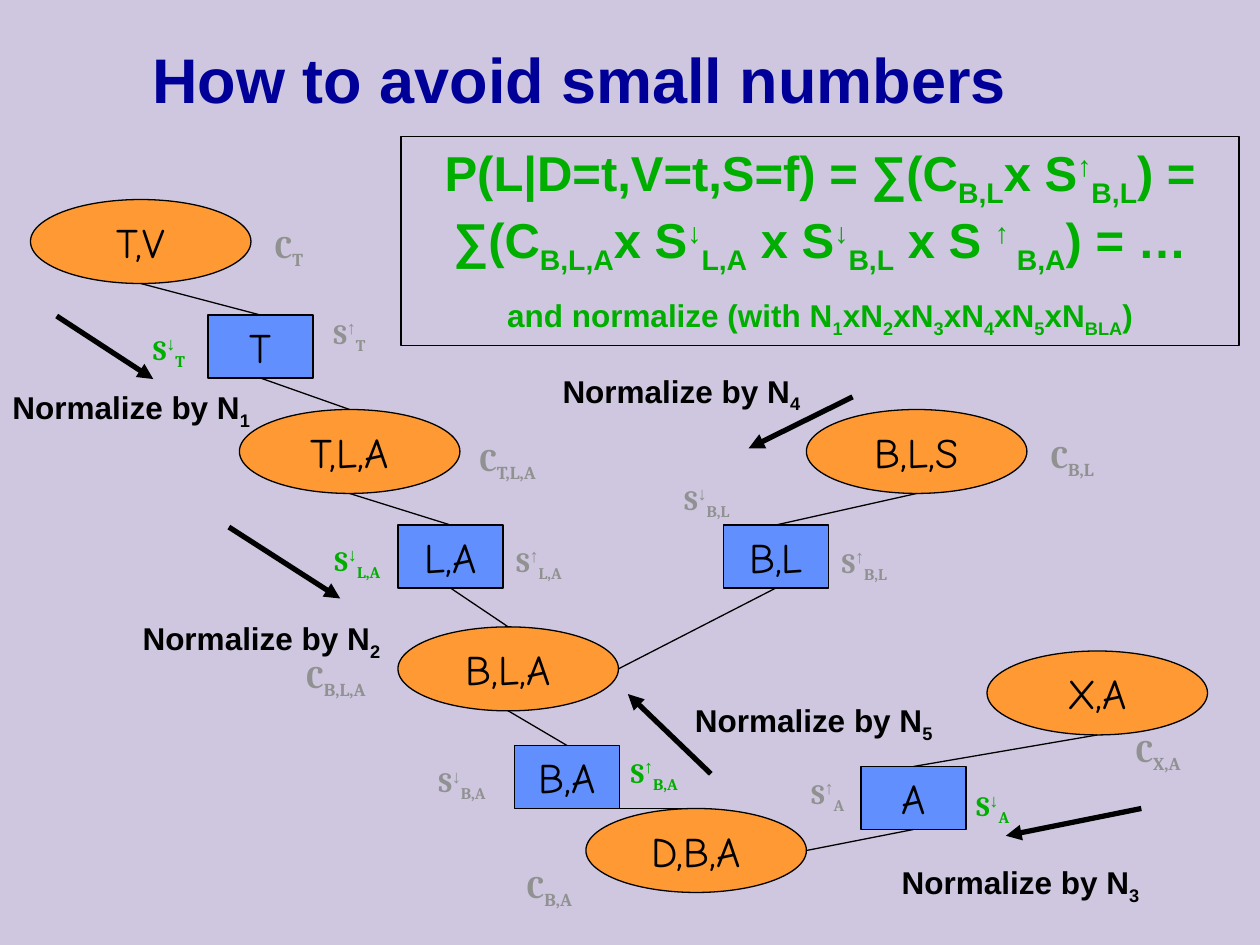
from lxml.etree import SubElement
from pptx import Presentation
from pptx.dml.color import RGBColor
from pptx.enum.shapes import MSO_CONNECTOR, MSO_SHAPE
from pptx.enum.text import MSO_ANCHOR, MSO_AUTO_SIZE, PP_ALIGN
from pptx.oxml.ns import qn
from pptx.util import Inches, Pt

COLUMNS, ROWS = 120, 90
SLIDE_WIDTH, SLIDE_HEIGHT = Inches(10), Inches(7.5)
BLACK, GREY, GREEN, NAVY = "000000", "919191", "00AE00", "000099"
ORANGE, BLUE, LAVENDER = "FF9933", "618FFD", "CEC7DF"
BASELINES = {"_": "-25000", "^": "30000", "~": None}
SIDES = {"top": (0.5, 0), "bottom": (0.5, 1), "right": (1, 0.5)}
LABEL_HEIGHT = 5.2

CLIQUES = {
    "D,B,A": (55.8, 77), "B,L,S": (76.8, 39), "X,A": (94, 62),
    "T,V": (2.9, 19), "B,L,A": (37.9, 59.7), "T,L,A": (22.8, 39),
}
SEPARATORS = {
    "B,A": (49, 71), "B,L": (68.9, 50), "L,A": (37.9, 50),
    "A": (82, 73), "T": (19.8, 30),
}
EDGES = [
    ("D,B,A", "top", "B,A", "bottom"), ("B,A", "top", "B,L,A", "bottom"),
    ("B,L,S", "bottom", "B,L", "top"), ("B,L", "bottom", "B,L,A", "right"),
    ("B,L,A", "top", "L,A", "bottom"), ("L,A", "top", "T,L,A", "bottom"),
    ("X,A", "bottom", "A", "top"), ("A", "bottom", "D,B,A", "right"),
    ("T,L,A", "top", "T", "bottom"), ("T,V", "bottom", "T", "top"),
]
MESSAGES = [
    ("↓", "B,L", GREY, 64, 45, 12), ("↓", "T", GREEN, 13.4, 30.7, 7.3),
    ("↑", "B,A", GREEN, 58.9, 71, 10), ("↓", "L,A", GREEN, 30.7, 50.8, 10),
    ("↓", "A", GREEN, 91.8, 74.2, 8), ("↓", "B,A", GREY, 40.6, 71.9, 10.1),
    ("↑", "L,A", GREY, 48, 50.9, 9.4), ("↑", "B,L", GREY, 79, 51, 41),
    ("↑", "A", GREY, 76.1, 73, 7.9), ("↑", "T", GREY, 30.6, 29.2, 30.5),
]
POTENTIALS = [
    ("T", 25, 21, 32), ("T,L,A", 44.5, 41.3, 17), ("B,L,A", 28, 62, 16),
    ("B,L", 98.9, 41, 12), ("B,A", 49, 82, 10), ("X,A", 107, 69, 9),
]
NORMALIZERS = [
    ("1", 0, 36.4), ("3", 84.7, 81.6), ("2", 12.4, 58.4),
    ("4", 52.4, 34.8), ("5", 65, 66.2),
]
ARROWS = [
    ((5.4, 30.1), (14.6, 36.1)), ((21.8, 50.2), (32.4, 57)),
    ((81.2, 37.8), (71.3, 42.7)), ((108.7, 77), (95.8, 79.6)),
    ((67.7, 73.7), (59.8, 66.1)),
]
FORMULA = ("P(L|D=t,V=t,S=f) = ∑(C_B,L~x S^↑_B,L~) = ∑(C_B,L,A~x S^↓_L,A~ x S"
           "^↓_B,L~ x S ^↑ _B,A~) = …")
NORMALIZING = "and normalize (with N_1~xN_2~xN_3~xN_4~xN_5~xN_BLA~)"


def color(value):
    """Turn a hex string into a colour."""
    return RGBColor.from_string(value)


def emu(*cells):
    """Convert alternating columns and rows into slide lengths."""
    units = (SLIDE_WIDTH / COLUMNS, SLIDE_HEIGHT / ROWS)
    return [round(cell * units[index % 2]) for index, cell in enumerate(cells)]


def within(box, left, top, *size):
    """Shift a place by the corner of its region."""
    return (box[0] + left, box[1] + top, *size)


def style(font, name, size, fill, bold=True):
    """Set the look of a font."""
    font.name, font.size, font.bold = name, Pt(size), bold
    font.color.rgb = color(fill)


def write(paragraph, markup, name, size, fill, raised_size=None):
    """Write text where _ starts a subscript, ^ a superscript and ~ plain text."""
    pieces = [["~", ""]]
    for character in markup:
        if character in BASELINES:
            pieces.append([character, ""])
        else:
            pieces[-1][1] += character
    for level, text in pieces:
        run = paragraph.add_run()
        run.text = text
        raised = level == "^"
        style(run.font, "Arial" if raised else name,
              raised_size or size if raised else size, fill)
        if BASELINES[level]:
            run._r.get_or_add_rPr().set("baseline", BASELINES[level])


def add_label(slide, box, markup, name, size, fill, raised_size=None):
    """Add a text box that holds one marked-up line."""
    frame = slide.shapes.add_textbox(*emu(*box)).text_frame
    frame.word_wrap = True
    frame.auto_size = MSO_AUTO_SIZE.SHAPE_TO_FIT_TEXT
    write(frame.paragraphs[0], markup, name, size, fill, raised_size)


def add_line(slide, start, end, width=0.75, arrow=False):
    """Draw a black line, with an arrowhead if wanted."""
    line = slide.shapes.add_connector(MSO_CONNECTOR.STRAIGHT, *emu(*start, *end))
    line.line.color.rgb = color(BLACK)
    line.line.width = Pt(width)
    if arrow:
        SubElement(line.line._get_or_add_ln(), qn("a:tailEnd"), type="triangle")
    SubElement(line._element.spPr, qn("a:effectLst"))


def add_shape(slide, kind, box, fill=None):
    """Add a thinly outlined preset shape without shadow."""
    shape = slide.shapes.add_shape(kind, *emu(*box))
    shape.shadow.inherit = False
    if fill:
        shape.fill.solid()
        shape.fill.fore_color.rgb = color(fill)
    else:
        shape.fill.background()
    shape.line.color.rgb = color(BLACK)
    shape.line.width = Pt(0.75)
    return shape


def add_node(slide, kind, box, fill, text):
    """Add a named node of the junction tree."""
    frame = add_shape(slide, kind, box, fill).text_frame
    frame.text = text
    frame.word_wrap = False
    frame.vertical_anchor = MSO_ANCHOR.MIDDLE
    paragraph = frame.paragraphs[0]
    paragraph.alignment = PP_ALIGN.CENTER
    style(paragraph.runs[0].font, "Comic Neue", 24, BLACK, False)


def add_title(slide, box):
    """Place the slide title."""
    title = slide.shapes.title
    title.left, title.top, title.width, title.height = emu(*box)
    frame = title.text_frame
    frame.text = "How to avoid small numbers"
    frame.auto_size = MSO_AUTO_SIZE.NONE
    frame.vertical_anchor = MSO_ANCHOR.MIDDLE
    paragraph = frame.paragraphs[0]
    paragraph.alignment = PP_ALIGN.CENTER
    style(paragraph.runs[0].font, "Arial", 36, NAVY)


def add_tree(slide, box):
    """Draw the cliques, the separators and the edges between them."""
    places = {}
    for kind, nodes, size, fill in (
        (MSO_SHAPE.OVAL, CLIQUES, (21, 8), ORANGE),
        (MSO_SHAPE.RECTANGLE, SEPARATORS, (10, 6), BLUE),
    ):
        for name, corner in nodes.items():
            places[name] = within(box, *corner, *size)
            add_node(slide, kind, places[name], fill, name)

    def anchor(name, side):
        """Find the middle of one side of a node."""
        left, top, width, height = places[name]
        across, down = SIDES[side]
        return left + across * width, top + down * height

    for first, first_side, second, second_side in EDGES:
        add_line(slide, anchor(first, first_side), anchor(second, second_side))


def add_annotations(slide, box):
    """Label messages, potentials and normalizing steps around the tree."""
    for direction, scope, fill, left, top, width in MESSAGES:
        add_label(slide, within(box, left, top, width, LABEL_HEIGHT),
                  f"S^{direction}_{scope}", "Cambria", 16, fill, 18)
    for scope, left, top, width in POTENTIALS:
        add_label(slide, within(box, left, top, width, LABEL_HEIGHT),
                  f"C_{scope}", "Cambria", 18, GREY)
    for start, end in ARROWS:
        add_line(slide, within(box, *start), within(box, *end), 3, True)
    for number, left, top in NORMALIZERS:
        add_label(slide, within(box, left, top, 25.2, LABEL_HEIGHT),
                  f"Normalize by N_{number}", "Arial", 18, BLACK)


def add_formula(slide, box):
    """Frame the formula and its normalizing note."""
    frame = add_shape(slide, MSO_SHAPE.RECTANGLE, box).text_frame
    frame.word_wrap = True
    frame.auto_size = MSO_AUTO_SIZE.SHAPE_TO_FIT_TEXT
    frame.vertical_anchor = MSO_ANCHOR.TOP
    formula, note = frame.paragraphs[0], frame.add_paragraph()
    note.space_before = Pt(11.2)
    for paragraph, markup, size in ((formula, FORMULA, 28), (note, NORMALIZING, 18)):
        paragraph.alignment = PP_ALIGN.CENTER
        write(paragraph, markup, "Arial", size, GREEN)


def main():
    """Build and save the slide."""
    presentation = Presentation()
    presentation.slide_width, presentation.slide_height = SLIDE_WIDTH, SLIDE_HEIGHT
    slide = presentation.slides.add_slide(presentation.slide_layouts[5])
    slide.background.fill.solid()
    slide.background.fill.fore_color.rgb = color(LAVENDER)
    diagram = (0, 0, COLUMNS, ROWS)
    add_title(slide, (0, 0, 110.4, 15))
    add_tree(slide, diagram)
    add_annotations(slide, diagram)
    add_formula(slide, (38.2, 13, 79.8, 19.9))
    presentation.save("out.pptx")


if __name__ == "__main__":
    main()
